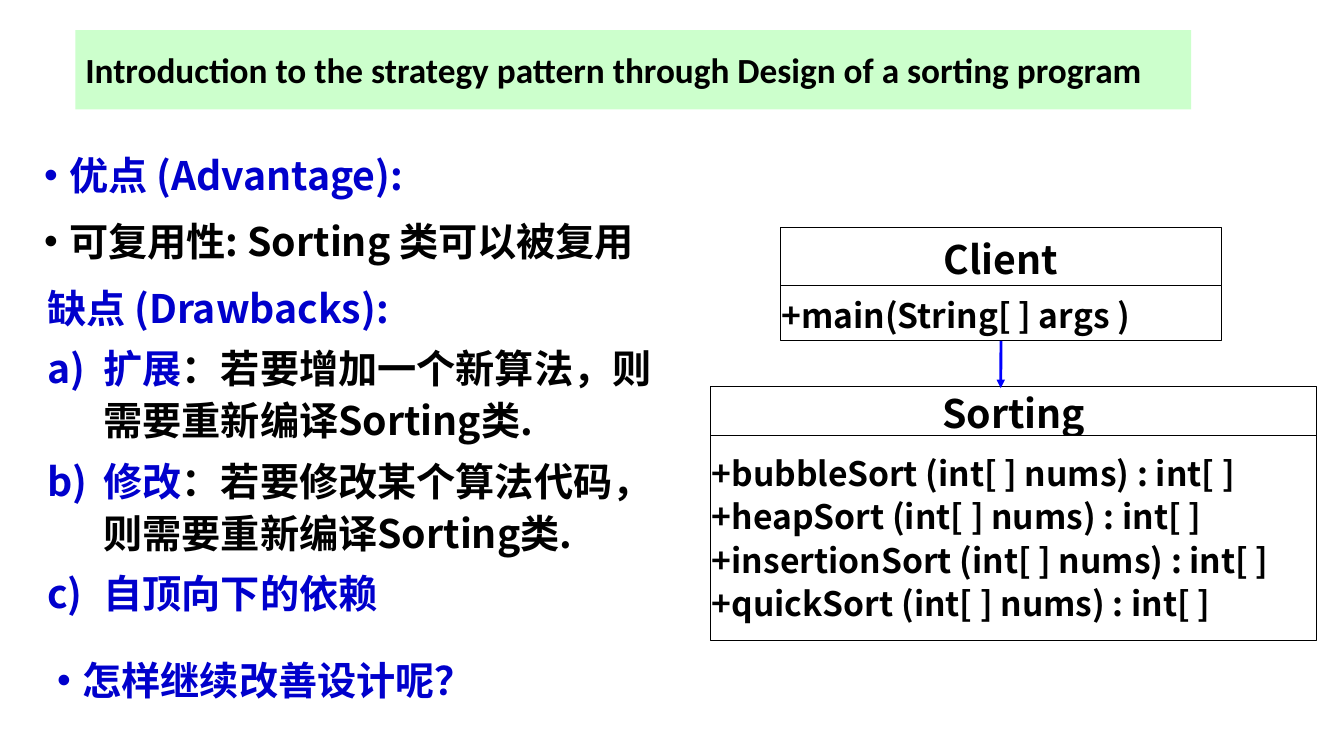
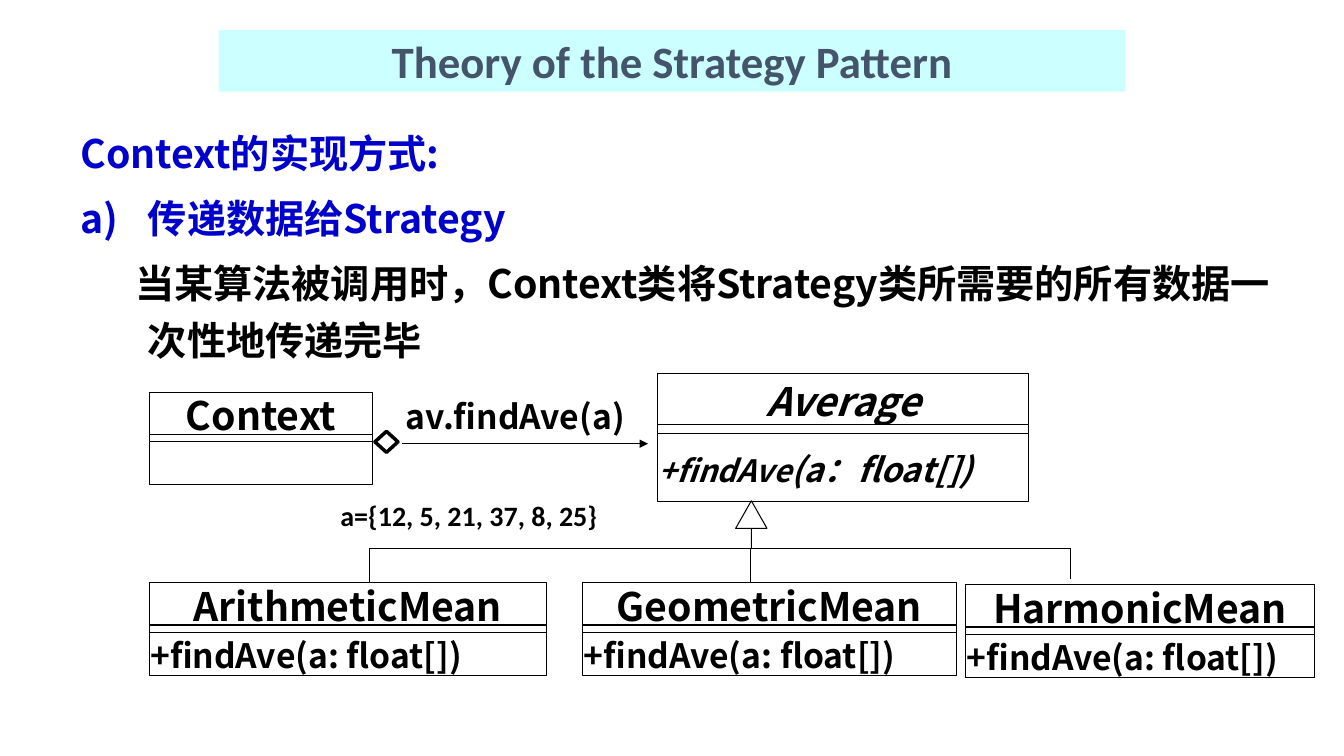
from pptx import Presentation
from pptx.dml.color import RGBColor
from pptx.enum.shapes import MSO_CONNECTOR as Connector, MSO_SHAPE as Shape
from pptx.enum.text import MSO_ANCHOR as Anchor, MSO_AUTO_SIZE as AutoSize, PP_ALIGN as Align
from pptx.oxml.ns import qn
from pptx.util import Cm, Pt
from lxml.etree import SubElement

# Shared look
BLACK, WHITE, BLUE, ARROW_BLUE = "000000", "FFFFFF", "0000CC", "0000FF"
GREEN, CYAN, SLATE = "CCFFCC", "CCFFFF", "44546A"
TEXT_FONT, TITLE_FONT = "Noto Sans CJK SC", "Calibri"
TITLE_TOP = 0.76
HAIRLINE = 0.75
NAME_SIZE, METHOD_SIZE = 28, 24
LABEL_PITCH = 1.3
DOT, LETTER = "dot", "letter"


def color(value):
    return RGBColor.from_string(value)


# Text
def set_font(paragraph, size, tint, name=TEXT_FONT, italic=False):
    font = paragraph.font
    font.name, font.size, font.bold = name, Pt(size), True
    if italic:
        font.italic = True
    font.color.rgb = color(tint)
    defaults = paragraph._p.pPr.find(qn("a:defRPr"))
    SubElement(defaults, qn("a:ea"), typeface=name)


def set_indent(paragraph, margin, first, bullet=None):
    properties = paragraph._p.get_or_add_pPr()
    properties.set("marL", str(Cm(margin)))
    properties.set("indent", str(Cm(first)))
    if bullet == DOT:
        SubElement(properties, qn("a:buFont"), typeface="Arial")
        SubElement(properties, qn("a:buChar"), char="•")
    elif bullet == LETTER:
        SubElement(properties, qn("a:buAutoNum"), type="alphaLcParenR")


def prepare_frame(shape, insets, anchor=Anchor.TOP):
    frame = shape.text_frame
    frame.word_wrap = True
    frame.auto_size = AutoSize.NONE
    frame.vertical_anchor = anchor
    (frame.margin_left, frame.margin_top,
     frame.margin_right, frame.margin_bottom) = (Cm(inset) for inset in insets)
    return frame


def next_paragraph(frame, index):
    return frame.add_paragraph() if index else frame.paragraphs[0]


def add_notes_box(page, left, top, width, height, items, pitch, gap, side=0.25):
    """Items are (text, tint, margin, first, bullet, black continuation)."""
    box = page.shapes.add_textbox(Cm(left), Cm(top), Cm(width), Cm(height))
    frame = prepare_frame(box, (side, 0.13, side, 0.13))
    for index, (text, tint, margin, first, bullet, rest) in enumerate(items):
        para = next_paragraph(frame, index)
        para.line_spacing = Pt(pitch)
        para.space_before = Pt(gap if index else 0)
        set_indent(para, margin, first, bullet)
        set_font(para, 28, tint)
        para.add_run().text = text
        if rest:
            span = para.add_run()
            span.text = rest
            span.font.color.rgb = color(BLACK)


def add_label(page, left, top, width, height, text, size, name=TEXT_FONT):
    box = page.shapes.add_textbox(Cm(left), Cm(top), Cm(width), Cm(height))
    para = prepare_frame(box, (0.25, 0.13, 0.25, 0.13)).paragraphs[0]
    if name == TEXT_FONT:
        para.line_spacing = Pt(size * LABEL_PITCH)
    set_font(para, size, BLACK, name)
    para.add_run().text = text


def add_titled_page(deck, text, left, width, height, fill, size, tint, align):
    page = deck.slides.add_slide(deck.slide_layouts[5])
    title = page.shapes.title
    title.left, title.top = Cm(left), Cm(TITLE_TOP)
    title.width, title.height = Cm(width), Cm(height)
    title.fill.solid()
    title.fill.fore_color.rgb = color(fill)
    para = prepare_frame(title, (0.25, 0.13, 0.25, 0.13), Anchor.MIDDLE).paragraphs[0]
    para.alignment = align
    set_font(para, size, tint, TITLE_FONT)
    para.add_run().text = text
    return page


# Shapes and lines
def add_outline(page, kind, left, top, width, height, weight=HAIRLINE):
    shape = page.shapes.add_shape(kind, Cm(left), Cm(top), Cm(width), Cm(height))
    shape.shadow.inherit = False
    shape.fill.solid()
    shape.fill.fore_color.rgb = color(WHITE)
    shape.line.color.rgb = color(BLACK)
    shape.line.width = Pt(weight)
    return shape


def add_line(page, x1, y1, x2, y2, tint=BLACK, weight=HAIRLINE, arrow=False):
    line = page.shapes.add_connector(Connector.STRAIGHT, Cm(x1), Cm(y1), Cm(x2), Cm(y2))
    line.line.color.rgb = color(tint)
    line.line.width = Pt(weight)
    if arrow:
        SubElement(line.line._get_or_add_ln(), qn("a:tailEnd"), type="triangle")
    SubElement(line._element.spPr, qn("a:effectLst"))
    return line


def add_class(page, left, top, width, heights, name, methods=(), italic=False):
    """Stack name, divider and method boxes; a method is a list of (text, size)."""
    name_height, band_height, body_height = heights
    header = add_outline(page, Shape.RECTANGLE, left, top, width, name_height)
    para = prepare_frame(header, (0, 0, 0, 0), Anchor.MIDDLE).paragraphs[0]
    para.alignment = Align.CENTER
    para.line_spacing = Pt(NAME_SIZE * LABEL_PITCH)
    set_font(para, NAME_SIZE, BLACK, italic=italic)
    para.add_run().text = name

    body_top = top + name_height + band_height
    body = add_outline(page, Shape.RECTANGLE, left, body_top, width, body_height)
    frame = prepare_frame(body, (0.03, 0, 0, 0), Anchor.MIDDLE)
    pitch = 28.7 if len(methods) > 1 else METHOD_SIZE * LABEL_PITCH
    for index, parts in enumerate(methods):
        para = next_paragraph(frame, index)
        para.alignment = Align.LEFT
        para.line_spacing = Pt(pitch)
        para.space_before = Pt(2.4 if index else 0)
        set_font(para, METHOD_SIZE, BLACK, italic=italic)
        for text, size in parts:
            span = para.add_run()
            span.text = text
            if size != METHOD_SIZE:
                span.font.size = Pt(size)
    if band_height:
        add_outline(page, Shape.RECTANGLE, left, top + name_height, width, band_height)
    return body


# Slides
def build_sorting_page(deck):
    page = add_titled_page(
        deck, "Introduction to the strategy pattern through Design of a sorting program",
        1.9, 28.12, 2, GREEN, 25.2, BLACK, Align.LEFT)

    # Advantages, drawbacks and the closing question
    add_notes_box(page, 0.86, 3.56, 16.51, 3.3, [
        ("优点 (Advantage):", BLUE, 0.64, -0.64, DOT, ""),
        ("可复用性: Sorting 类可以被复用", BLACK, 0.64, -0.64, DOT, ""),
    ], 37.1, 10)
    add_notes_box(page, 1.19, 6.91, 15.57, 8.89, [
        ("缺点 (Drawbacks):", BLUE, 0.64, -0.64, None, ""),
        ("扩展", BLUE, 1.42, -1.42, LETTER, "：若要增加一个新算法，则需要重新编译Sorting类."),
        ("修改", BLUE, 1.42, -1.42, LETTER, "：若要修改某个算法代码，则需要重新编译Sorting类."),
        ("自顶向下的依赖", BLUE, 1.42, -1.42, LETTER, ""),
    ], 37.1, 6, side=0)
    add_notes_box(page, 1.19, 16.28, 10.95, 1.5, [
        ("怎样继续改善设计呢？", BLUE, 0.64, -0.64, DOT, ""),
    ], 37.1, 0)

    # Class diagram
    sorts = ("bubbleSort", "heapSort", "insertionSort", "quickSort")
    add_class(page, 17.91, 9.73, 15.27, (1.25, 0, 5.16), "Sorting",
              [[(f"+{sort} (int[ ] nums) : int[ ]", METHOD_SIZE)] for sort in sorts])
    client = add_class(page, 19.66, 5.74, 11.13, (1.45, 0, 1.4), "Client",
                       [[("+main(String[ ] args )", METHOD_SIZE)]])
    call = add_line(page, 25.22, 8.59, 25.22, 9.78, ARROW_BLUE, 2, arrow=True)
    call.begin_connect(client, 2)


def build_theory_page(deck):
    page = add_titled_page(deck, "Theory of the Strategy Pattern",
                           5.51, 22.86, 1.55, CYAN, 32, SLATE, Align.CENTER)
    add_notes_box(page, 1.78, 2.9, 30.86, 6.32, [
        ("Context的实现方式:", BLUE, 1.7, -1.7, None, ""),
        ("传递数据给Strategy", BLUE, 1.7, -1.7, LETTER, ""),
        ("当某算法被调用时，Context类将Strategy类所需要的所有数据一次性地传递完毕",
         BLACK, 1.7, -0.32, None, ""),
    ], 40.4, 6)

    # Context holding an Average
    small = (1.07, 0.18, 1.09)
    add_class(page, 16.56, 9.42, 9.37, (1.27, 0.23, 1.73), "Average",
              [[("+findAve", 22), ("(a：float[])", METHOD_SIZE)]], italic=True)
    add_class(page, 3.76, 9.88, 5.64, small, "Context")
    add_outline(page, Shape.DIAMOND, 9.45, 10.87, 0.58, 0.53, 2.5)
    add_line(page, 10.13, 11.18, 16.33, 11.18, arrow=True)
    add_label(page, 9.98, 9.75, 6.17, 1.27, "av.findAve(a)", 24)
    add_label(page, 8.33, 12.42, 8.2, 1.09, "a={12, 5, 21, 37, 8, 25}", 20, TITLE_FONT)

    # Inheritance tree
    rail = 13.82
    add_line(page, 9.32, rail, 26.97, rail)
    generalization = add_outline(page, Shape.UP_ARROW, 18.54, 12.62, 0.79, 1.19)
    generalization.adjustments[0] = 0
    generalization.adjustments[1] = 0.88
    for x, bottom in ((9.32, 14.68), (18.92, 14.68), (26.97, 14.6)):
        add_line(page, x, rail, x, bottom)
    for name, left, top, width in (("ArithmeticMean", 3.76, 14.68, 10.01),
                                   ("GeometricMean", 14.68, 14.68, 9.42),
                                   ("HarmonicMean", 24.33, 14.73, 8.79)):
        add_class(page, left, top, width, small, name,
                  [[("+findAve(a: float[])", METHOD_SIZE)]])


def main():
    deck = Presentation()
    deck.slide_width, deck.slide_height = Cm(33.87), Cm(19.05)
    build_sorting_page(deck)
    build_theory_page(deck)
    deck.save("out.pptx")


if __name__ == "__main__":
    main()
